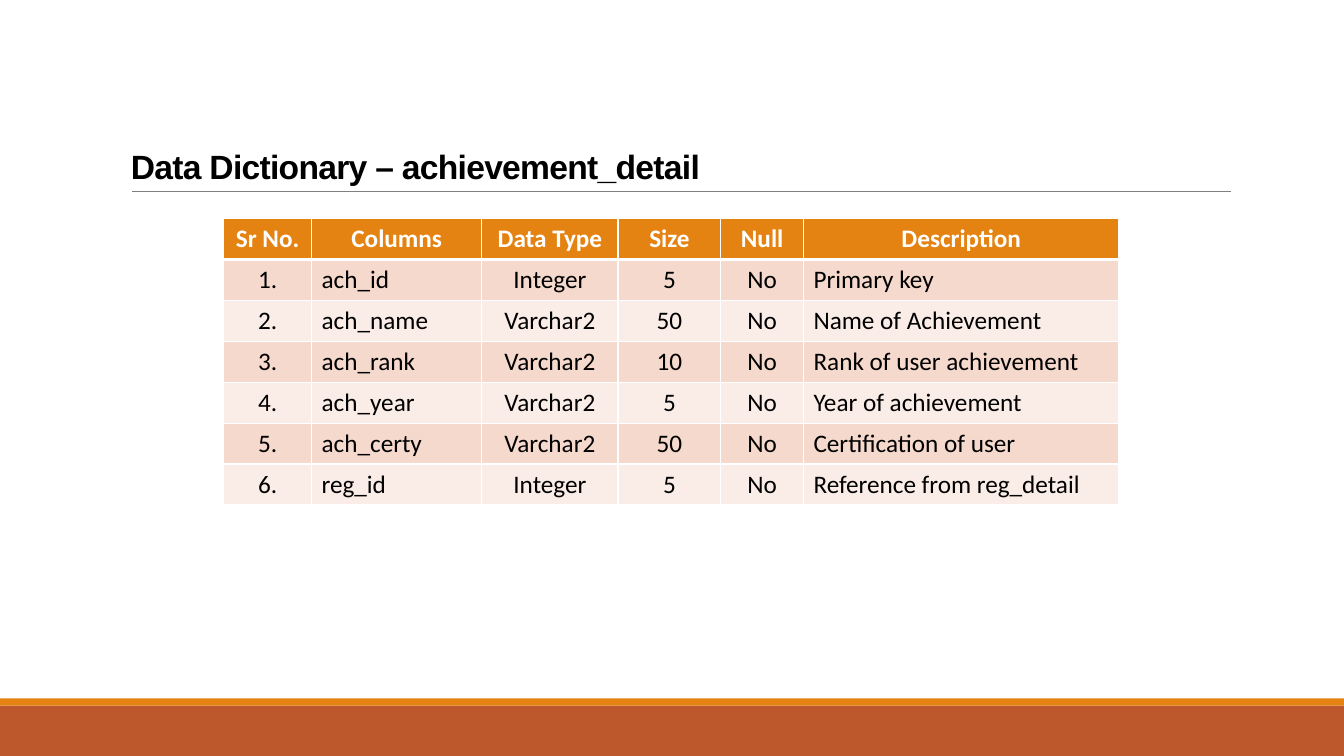
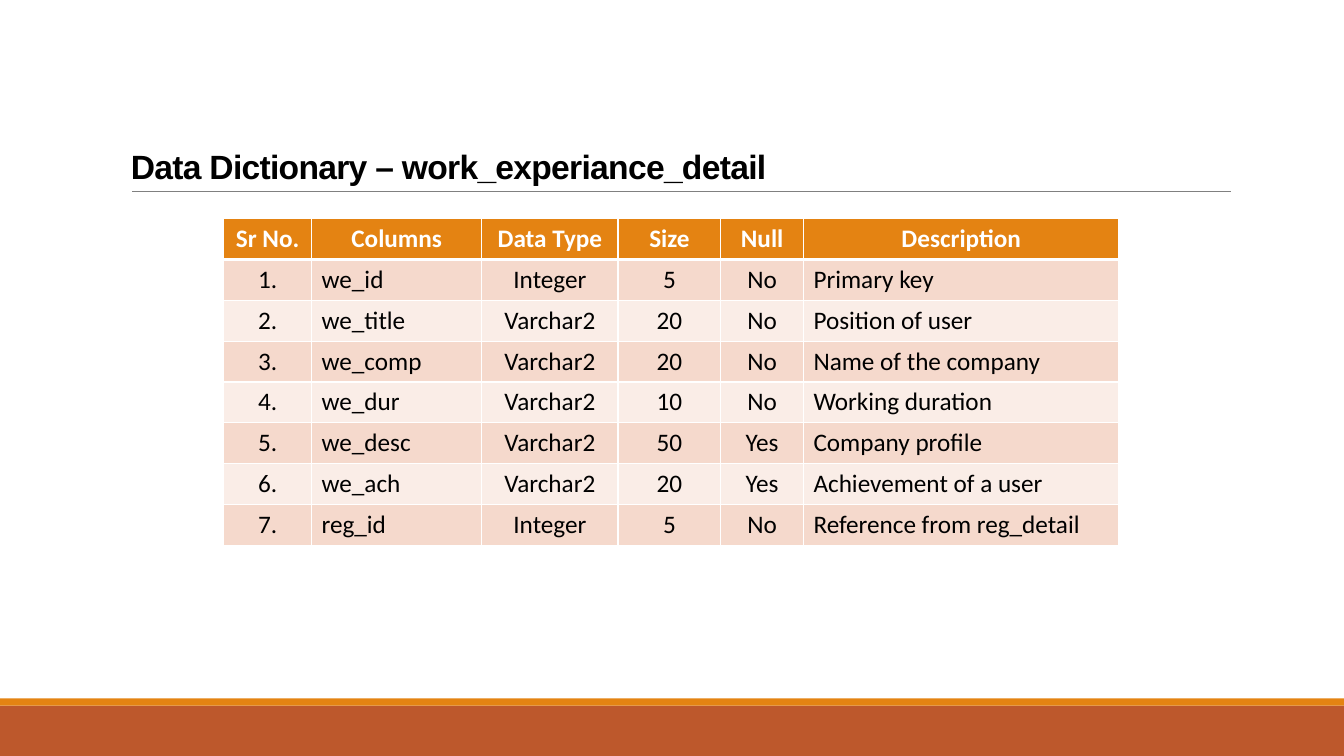
"""Build two data dictionary slides, each with a ruled title and a banded table."""
from lxml.etree import SubElement
from pptx import Presentation
from pptx.dml.color import RGBColor
from pptx.enum.shapes import MSO_CONNECTOR, MSO_SHAPE
from pptx.enum.text import MSO_ANCHOR, PP_ALIGN
from pptx.oxml.ns import qn
from pptx.util import Inches, Pt

ORANGE, RUST, GREY = "E48312", "BD582C", "808080"
WHITE, BLACK = "FFFFFF", "000000"
BANDS = ["FAEDE7", "F5D9CC"]
FOOTER = [(7, 0.5, RUST), (6.93, 0.07, ORANGE)]
HEADERS = ["Sr No.", "Columns", "Data Type", "Size", "Null", "Description"]
WIDTHS = [0.87, 1.69, 1.35, 1.02, 0.82, 3.13]
LEFT_COLUMNS = ["Columns", "Description"]
SLIDES = [
    ("achievement_detail", 2.84, [
        ("ach_id", "Integer", "5", "No", "Primary key"),
        ("ach_name", "Varchar2", "50", "No", "Name of Achievement"),
        ("ach_rank", "Varchar2", "10", "No", "Rank of user achievement"),
        ("ach_year", "Varchar2", "5", "No", "Year of achievement"),
        ("ach_certy", "Varchar2", "50", "No", "Certification of user"),
        ("reg_id", "Integer", "5", "No", "Reference from reg_detail"),
    ]),
    ("work_experiance_detail", 3.24, [
        ("we_id", "Integer", "5", "No", "Primary key"),
        ("we_title", "Varchar2", "20", "No", "Position of user"),
        ("we_comp", "Varchar2", "20", "No", "Name of the company"),
        ("we_dur", "Varchar2", "10", "No", "Working duration"),
        ("we_desc", "Varchar2", "50", "Yes", "Company profile"),
        ("we_ach", "Varchar2", "20", "Yes", "Achievement of a user"),
        ("reg_id", "Integer", "5", "No", "Reference from reg_detail"),
    ]),
]


def paint(fill, color):
    fill.solid()
    fill.fore_color.rgb = RGBColor.from_string(color)


def write(tf, text, size=18, font="Calibri", color=BLACK, bold=False,
          align=PP_ALIGN.LEFT, line_spacing=None, tracking=None):
    p = tf.paragraphs[0]
    p.alignment = align
    p.line_spacing = line_spacing
    r = p.add_run()
    r.text = text
    r.font.size = Pt(size)
    r.font.name = font
    r.font.bold = bold
    paint(r.font.fill, color)
    if tracking is not None:
        r.font._element.set("spc", str(int(tracking * 100)))


prs = Presentation()
prs.slide_width, prs.slide_height = Inches(13.33), Inches(7.5)

for name, height, records in SLIDES:
    s = prs.slides.add_slide(prs.slide_layouts[6])
    paint(s.background.fill, WHITE)

    for top, band_height, color in FOOTER:
        sp = s.shapes.add_shape(MSO_SHAPE.RECTANGLE, 0, Inches(top),
                                prs.slide_width, Inches(band_height))
        sp.shadow.inherit = False
        paint(sp.fill, color)
        sp.line.fill.background()

    rule = s.shapes.add_connector(MSO_CONNECTOR.STRAIGHT, Inches(1.31), Inches(1.9),
                                  Inches(12.21), Inches(1.9))
    paint(rule.line.fill, GREY)
    rule.line.width = Pt(0.5)
    SubElement(rule._element.spPr, qn("a:effectLst"))

    title = s.shapes.add_textbox(Inches(1.2), Inches(0.31), Inches(11), Inches(1.59))
    tf = title.text_frame
    tf.word_wrap = True
    tf.vertical_anchor = MSO_ANCHOR.BOTTOM
    write(tf, f"Data Dictionary – {name}", size=24, font="Arial", bold=True,
          line_spacing=0.85, tracking=-0.5)

    rows = [HEADERS] + [(f"{n}.", *record) for n, record in enumerate(records, 1)]
    table = s.shapes.add_table(len(rows), len(HEADERS), Inches(2.22), Inches(2.17),
                               Inches(sum(WIDTHS)), Inches(height)).table
    for column, width in zip(table.columns, WIDTHS):
        column.width = Inches(width)

    for i, row in enumerate(rows):
        header = i == 0
        borders = {"L": 1, "R": 1, "T": 3 if i == 1 else 1, "B": 3 if header else 1}
        for j, text in enumerate(row):
            cell = table.cell(i, j)
            tcPr = cell._tc.get_or_add_tcPr()
            for side, weight in borders.items():
                ln = SubElement(tcPr, qn(f"a:ln{side}"), w=str(Pt(weight)))
                SubElement(SubElement(ln, qn("a:solidFill")), qn("a:srgbClr"), val=WHITE)
            paint(cell.fill, ORANGE if header else BANDS[i % 2])
            left = HEADERS[j] in LEFT_COLUMNS and not header
            write(cell.text_frame, text, color=WHITE if header else BLACK, bold=header,
                  align=PP_ALIGN.LEFT if left else PP_ALIGN.CENTER)

prs.save("out.pptx")
